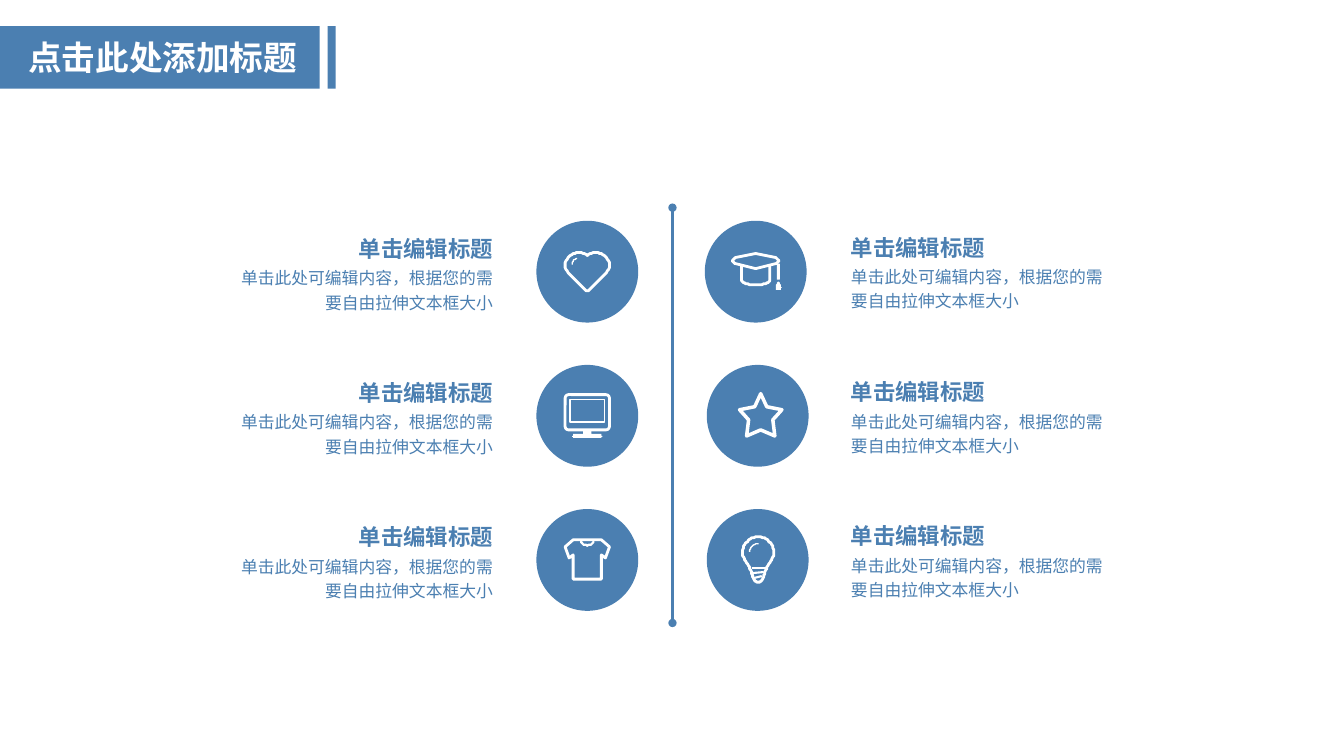
from lxml.etree import SubElement
from pptx import Presentation
from pptx.dml.color import RGBColor
from pptx.enum.shapes import MSO_CONNECTOR, MSO_SHAPE
from pptx.enum.text import MSO_ANCHOR, PP_ALIGN
from pptx.oxml.ns import qn
from pptx.util import Inches, Pt

BLUE, WHITE = "4B7FB1", "FFFFFF"
SANS = "Noto Sans CJK SC"
HEAD = "单击编辑标题"
BODY = "单击此处可编辑内容，根据您的需要自由拉伸文本框大小"


def color(code):
    return RGBColor.from_string(code)


def trace(steps, axis=None):
    points = [steps[0]]
    for step in steps[1:]:
        if len(step) == 2:
            points.append(step)
            continue
        ax, ay = points[-1]
        bx, by, cx, cy, dx, dy = step
        for i in range(1, 13):
            t = i / 12
            u = 1 - t
            weights = u**3, 3 * u * u * t, 3 * u * t * t, t**3
            points.append(tuple(
                sum(w * v for w, v in zip(weights, values))
                for values in ((ax, bx, cx, dx), (ay, by, cy, dy))
            ))
    if axis is not None:
        points += [(2 * axis - x, y) for x, y in reversed(points)]
    return points


class Deck:
    def __init__(self):
        self.file = Presentation()
        self.file.slide_width = Inches(13.33)
        self.file.slide_height = Inches(7.5)
        self.slide = self.file.slides.add_slide(self.file.slide_layouts[5])
        self.shapes = self.slide.shapes

    def paint(self, shape, fill=None, line=None, width=2):
        shape.shadow.inherit = False
        if fill:
            shape.fill.solid()
            shape.fill.fore_color.rgb = color(fill)
        else:
            shape.fill.background()
        if line:
            shape.line.color.rgb = color(line)
            shape.line.width = Pt(width)
            SubElement(shape.line._get_or_add_ln(), qn("a:round"))
        else:
            shape.line.fill.background()

    def shape(self, kind, x, y, w, h, **style):
        item = self.shapes.add_shape(kind, Inches(x), Inches(y), Inches(w), Inches(h))
        self.paint(item, **style)
        return item

    def draw(self, x, y, steps, axis=None, closed=True, **style):
        points = trace(steps, axis)
        builder = self.shapes.build_freeform(*points[0], scale=Inches(0.01))
        builder.add_line_segments(points[1:], close=closed)
        self.paint(builder.convert_to_shape(Inches(x), Inches(y)), **style)

    def font(self, para, size, name, code, bold):
        run = para.runs[0]
        run.font.size = Pt(size)
        run.font.name = name
        run.font.bold = bold
        run.font.color.rgb = color(code)
        SubElement(run._r.get_or_add_rPr(), qn("a:ea"), typeface=name)

    def title(self, text):
        item = self.shapes.title
        item.left, item.top = Inches(0.18), Inches(0.32)
        item.width, item.height = Inches(3.15), Inches(0.5)
        frame = item.text_frame
        frame.text = text
        frame.vertical_anchor = MSO_ANCHOR.MIDDLE
        frame.paragraphs[0].alignment = PP_ALIGN.LEFT
        self.font(frame.paragraphs[0], 24, "Arial", WHITE, True)
        self.shapes._spTree.append(item._element)

    def text(self, text, x, y, w, h, size, align, bold=False):
        frame = self.shapes.add_textbox(Inches(x), Inches(y), Inches(w), Inches(h)).text_frame
        frame.word_wrap = True
        frame.margin_left = frame.margin_right = frame.margin_top = frame.margin_bottom = 0
        frame.text = text
        para = frame.paragraphs[0]
        para.alignment = align
        para.line_spacing = 1.2
        self.font(para, size, SANS, BLUE, bold)

    def axis(self, x, top, end):
        item = self.shapes.add_connector(
            MSO_CONNECTOR.STRAIGHT, Inches(x), Inches(top), Inches(x), Inches(end))
        item.line.color.rgb = color(BLUE)
        item.line.width = Pt(1.5)
        line = item.line._get_or_add_ln()
        for tag in ("a:headEnd", "a:tailEnd"):
            SubElement(line, qn(tag), type="oval")
        SubElement(item._element.spPr, qn("a:effectLst"))

    def heart(self, x, y):
        self.draw(x, y, [(0, -15.5), (-5, -20.5, -13, -20, -18, -15),
                         (-23.5, -10, -23.5, -3, -18, 2), (-2, 18),
                         (-1, 19, -1, 19, 0, 19)], 0, line=WHITE)
        self.draw(x, y, [(-15, -7), (-15, -10, -13, -13, -9.5, -13)],
                  closed=False, line=WHITE, width=1)

    def hat(self, x, y):
        self.draw(x, y, [(0, -18), (-20, -13.5), (-23.5, -12.5, -23.5, -9, -20, -8),
                         (0, -3)], 0, line=WHITE)
        self.draw(x, y, [(-14, -6), (-14, 8), (-14, 11, -9, 13, 0, 13)],
                  0, closed=False, line=WHITE)
        self.shape(MSO_SHAPE.ROUNDED_RECTANGLE, x + 0.21, y - 0.08, 0.03, 0.16, fill=WHITE)
        self.draw(x, y, [(22.5, 9.5), (21.5, 9.5, 19.5, 14, 19.5, 16),
                         (19.5, 18, 21, 18.5, 22.5, 18.5)], 22.5, fill=WHITE)

    def screen(self, x, y):
        frame = self.shape(MSO_SHAPE.ROUNDED_RECTANGLE, x - 0.22, y - 0.21, 0.44, 0.35, line=WHITE)
        frame.adjustments[0] = 0.1
        self.shape(MSO_SHAPE.RECTANGLE, x - 0.17, y - 0.16, 0.34, 0.22, line=WHITE, width=1)
        self.draw(x, y, [(0, 15), (-4.5, 15), (-4.5, 17.5), (-13.5, 18.5),
                         (-15, 19, -15, 21.5, -13.5, 21.5)], 0, fill=WHITE)

    def star(self, x, y):
        self.draw(x, y, [(3, -21.5), (-3.2, -9), (-18.5, -6.5), (-9, 4), (-11, 20.5),
                         (3, 14)], 3, line=WHITE, width=2.5)

    def shirt(self, x, y):
        self.draw(x, y, [(-14, -19.5), (-22, -13), (-18.5, -2), (-14.5, -5),
                         (-14.5, 19)], 0, line=WHITE)
        self.draw(x, y, [(-6.5, -19), (-6, -16, -3, -14.5, 0, -14.5)],
                  0, closed=False, line=WHITE, width=1.5)

    def bulb(self, x, y):
        self.draw(x, y, [(0.5, -23), (-8, -23, -15, -16, -15, -7.5),
                         (-15, -1, -9, 4, -7, 10), (-4, 18, -4, 22, 0.5, 22)], 0.5, line=WHITE)
        self.draw(x, y, [(-8, -7.5), (-8, -12, -4.5, -16, 1, -16)],
                  closed=False, line=WHITE, width=1)
        for half, low in ((7, 8), (5.5, 12.5), (4, 17)):
            self.draw(x, y, [(0.5 - half, low + 0.5), (0.5 + half, low - 0.5)],
                      closed=False, line=WHITE, width=1.5)

    def entry(self, x, y, icon, right):
        self.shape(MSO_SHAPE.OVAL, x - 0.505, y - 0.505, 1.01, 1.01, fill=BLUE)
        icon(x, y)
        align = PP_ALIGN.LEFT if right else PP_ALIGN.RIGHT
        top = y - (0.425 if right else 0.415)
        for text, w, h, gap, size in ((HEAD, 1.53, 0.3, 0, 16), (BODY, 2.55, 0.46, 0.34, 12)):
            left = 8.44 if right else 4.89 - w
            self.text(text, left, top + gap, w, h, size, align, size == 16)


def main():
    deck = Deck()
    deck.shape(MSO_SHAPE.RECTANGLE, 3.25, 0.26, 0.08, 0.62, fill=BLUE)
    deck.shape(MSO_SHAPE.RECTANGLE, 0, 0.26, 3.17, 0.62, fill=BLUE)
    deck.title("点击此处添加标题")
    deck.axis(6.67, 2.06, 6.18)
    rows = ((deck.heart, deck.hat, 7.495), (deck.screen, deck.star, 7.515),
            (deck.shirt, deck.bulb, 7.515))
    for i, (first, second, x) in enumerate(rows):
        y = 2.695 + i * 1.43
        deck.entry(5.825, y, first, False)
        deck.entry(x, y, second, True)
    deck.file.save("out.pptx")


if __name__ == "__main__":
    main()
